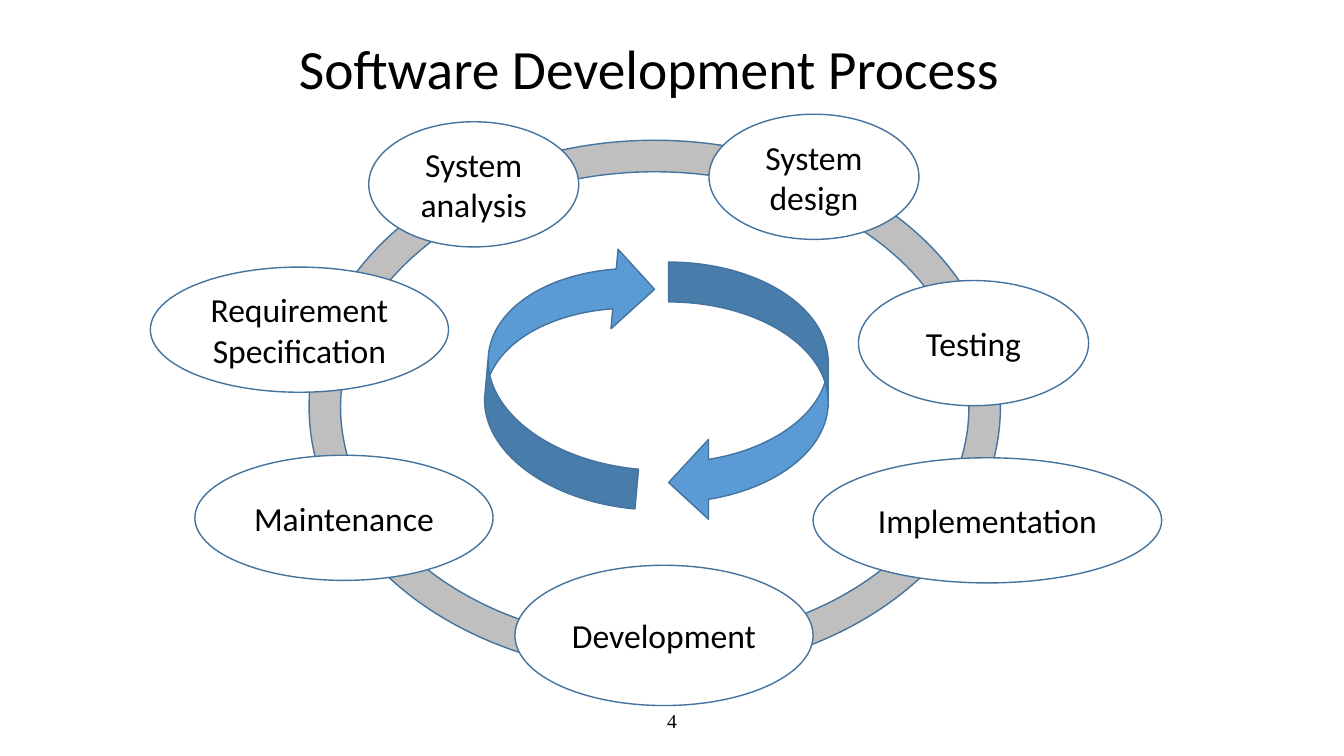
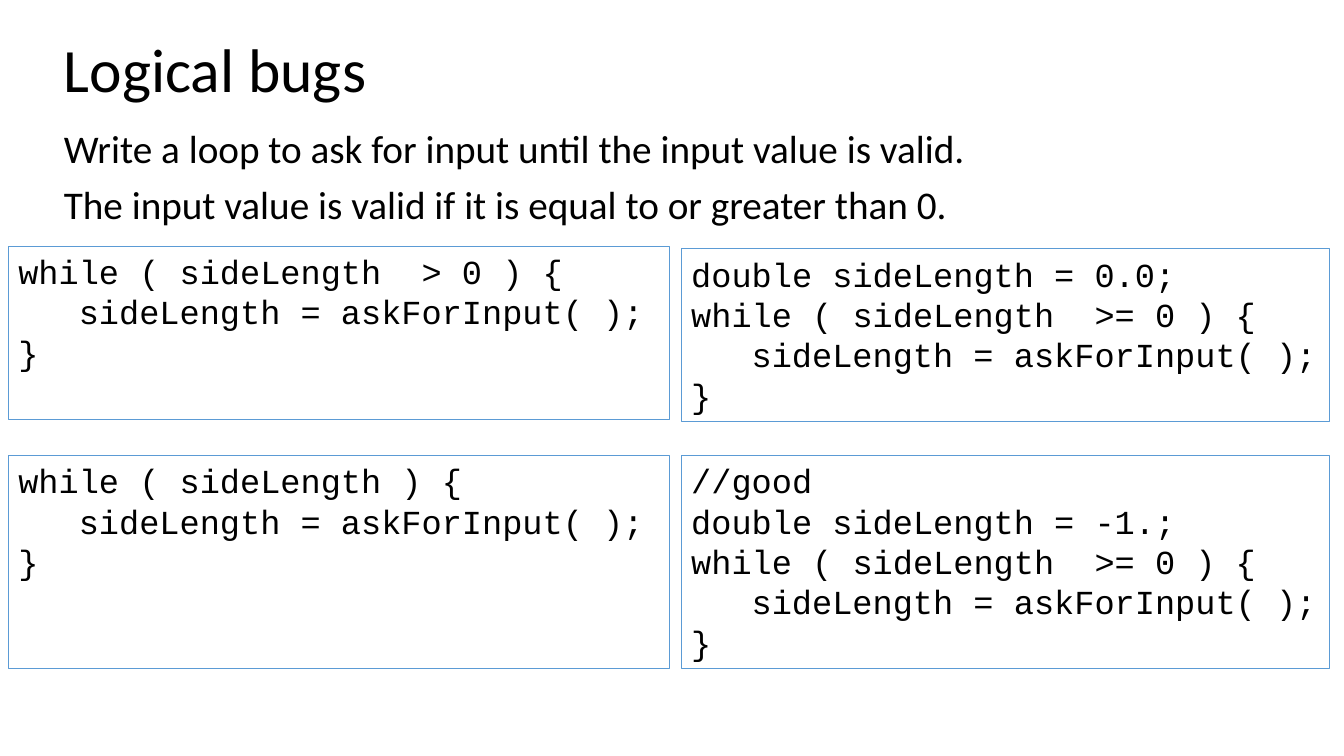
from pptx import Presentation
from pptx.dml.color import RGBColor
from pptx.enum.shapes import MSO_SHAPE
from pptx.enum.text import MSO_ANCHOR, MSO_AUTO_SIZE, PP_ALIGN
from pptx.oxml.ns import qn
from pptx.util import Inches, Pt

# Shared look
INK, PAPER, RING, BLUE, EDGE = "000000", "FFFFFF", "BFBFBF", "5B9BD5", "43739E"
SANS, MONO, SERIF = "Calibri", "Courier New", "Times New Roman"
LEFT, MID = PP_ALIGN.LEFT, PP_ALIGN.CENTER

# Grid of 160 columns by 90 rows
deck = Presentation()
deck.slide_width, deck.slide_height = Inches(13.333), Inches(7.5)
CELL = deck.slide_height / 90


def write(shape, lines, size, font=SANS, align=LEFT, anchor=MSO_ANCHOR.MIDDLE):
    frame = shape.text_frame
    frame.word_wrap = True
    frame.auto_size = MSO_AUTO_SIZE.NONE
    frame.vertical_anchor = anchor
    for i, line in enumerate(lines):
        para = frame.paragraphs[0] if i == 0 else frame.add_paragraph()
        para.alignment = align
        run = para.add_run()
        run.text = line
        run.font.size, run.font.name = Pt(size), font
        run.font.color.rgb = RGBColor.from_string(INK)
    return frame


def draw(slide, kind, box, fill, line, width=1):
    shape = slide.shapes.add_shape(kind, *[round(n * CELL) for n in box])
    shape.shadow.inherit = False
    if fill:
        shape.fill.solid()
        shape.fill.fore_color.rgb = RGBColor.from_string(fill)
    else:
        shape.fill.background()
    shape.line.color.rgb = RGBColor.from_string(line)
    shape.line.width = Pt(width)
    return shape


# Slides with their titles
pages = []
for layout, name, box, size, align in [
    (5, "Software Development Process", (0, 4, 158.8, 9), 39.6, MID),
    (1, "Logical bugs", (6.4, -0.1, 138, 17.4), 44, LEFT),
]:
    page = deck.slides.add_slide(deck.slide_layouts[layout])
    title = page.shapes.title
    title.left, title.top, title.width, title.height = [round(n * CELL) for n in box]
    write(title, [name], size, align=align).paragraphs[0].line_spacing = 0.9
    pages.append(page)
cycle, bugs = pages
cycle.shapes.title.text_frame.margin_right = round(5.5 * CELL)

# Ring and turning arrows
ring = draw(cycle, MSO_SHAPE.DONUT, (36.8, 16.7, 82.3, 63.5), RING, EDGE)
ring.adjustments[0] = 0.059
for x, y, turn in [(79.6, 31.2, 0), (58, 28.8, 185.1)]:
    arrow = draw(cycle, MSO_SHAPE.CURVED_LEFT_ARROW, (x, y, 19, 31), BLUE, EDGE)
    arrow.rotation = turn

# Steps of the process
for x, y, w, h, lines in [
    (84.4, 13.6, 25, 14.9, ["System design"]),
    (43.9, 14.5, 25, 14.9, ["System analysis"]),
    (102.2, 33.4, 27.4, 14.9, ["Testing"]),
    (96.8, 54.5, 41.5, 14.9, ["Implementation"]),
    (61.3, 67.3, 35.5, 16.7, ["Development"]),
    (23.2, 54.2, 35.5, 14.9, ["Maintenance"]),
    (17.9, 31.8, 35.5, 14.9, ["Requirement", "Specification"]),
]:
    step = draw(cycle, MSO_SHAPE.OVAL, (x, y, w, h), PAPER, EDGE)
    write(step, lines, 24, align=MID)

# Page number
foot = cycle.shapes.add_textbox(*[round(n * CELL) for n in (53, 83.4, 54, 4.8)])
write(foot, ["4"], 14, SERIF, MID)

# Task text without bullets
body = bugs.placeholders[1]
body.left, body.top, body.width, body.height = [
    round(n * CELL) for n in (6.4, 14.8, 138, 63.7)]
task = write(body, [
    "Write a loop to ask for input until the input value is valid.",
    "The input value is valid if it is equal to or greater than 0.",
], 28, anchor=MSO_ANCHOR.TOP)
for para in task.paragraphs:
    para.line_spacing, para.space_before = 0.9, Pt(10)
    props = para._p.get_or_add_pPr()
    props.set("marL", "0")
    props.set("indent", "0")
    props.append(props.makeelement(qn("a:buNone"), {}))

# Code boxes: two columns, two rows
ASK = "sideLength = askForInput( );"
COLS = [(1, 78.7), (81.1, 77.2)]
for col, y, h, lines in [
    (0, 29.3, 20.6, ["while ( sideLength  > 0 ) {", ASK, "}"]),
    (1, 29.6, 20.6, ["double sideLength = 0.0;",
                     "while ( sideLength  >= 0 ) {", ASK, "}"]),
    (0, 54.2, 25.4, ["while ( sideLength ) {", ASK, "}"]),
    (1, 54.2, 25.4, ["//good", "double sideLength = -1.;",
                     "while ( sideLength  >= 0 ) {", ASK, "}"]),
]:
    x, w = COLS[col]
    code = draw(bugs, MSO_SHAPE.RECTANGLE, (x, y, w, h), None, BLUE, 0.75)
    frame = write(code, lines, 24, MONO, anchor=MSO_ANCHOR.TOP)
    # The loop body is indented by three letters
    inner = frame.paragraphs[lines.index(ASK)]
    inner._p.get_or_add_pPr().set("marL", str(Inches(0.6)))

deck.save("out.pptx")
